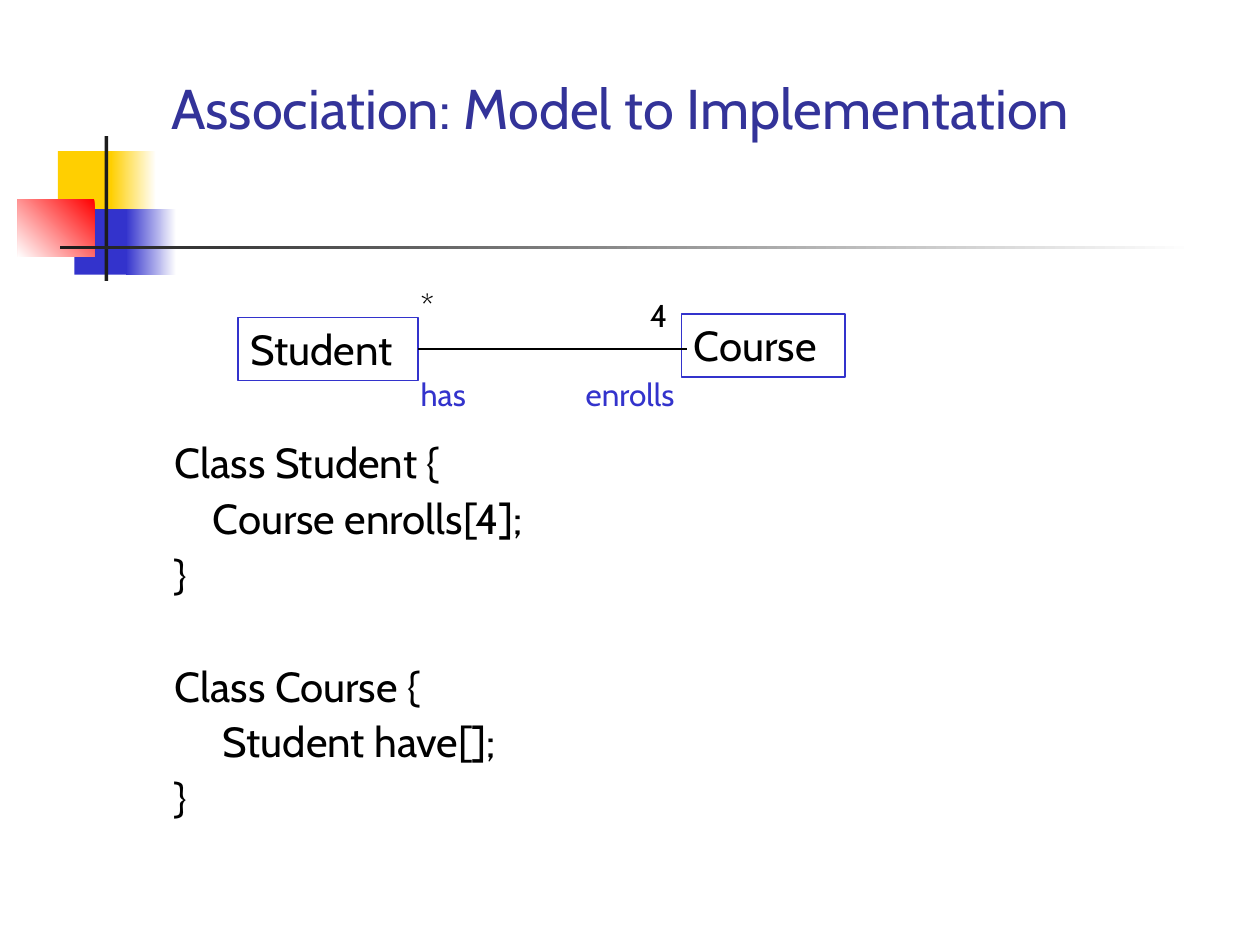
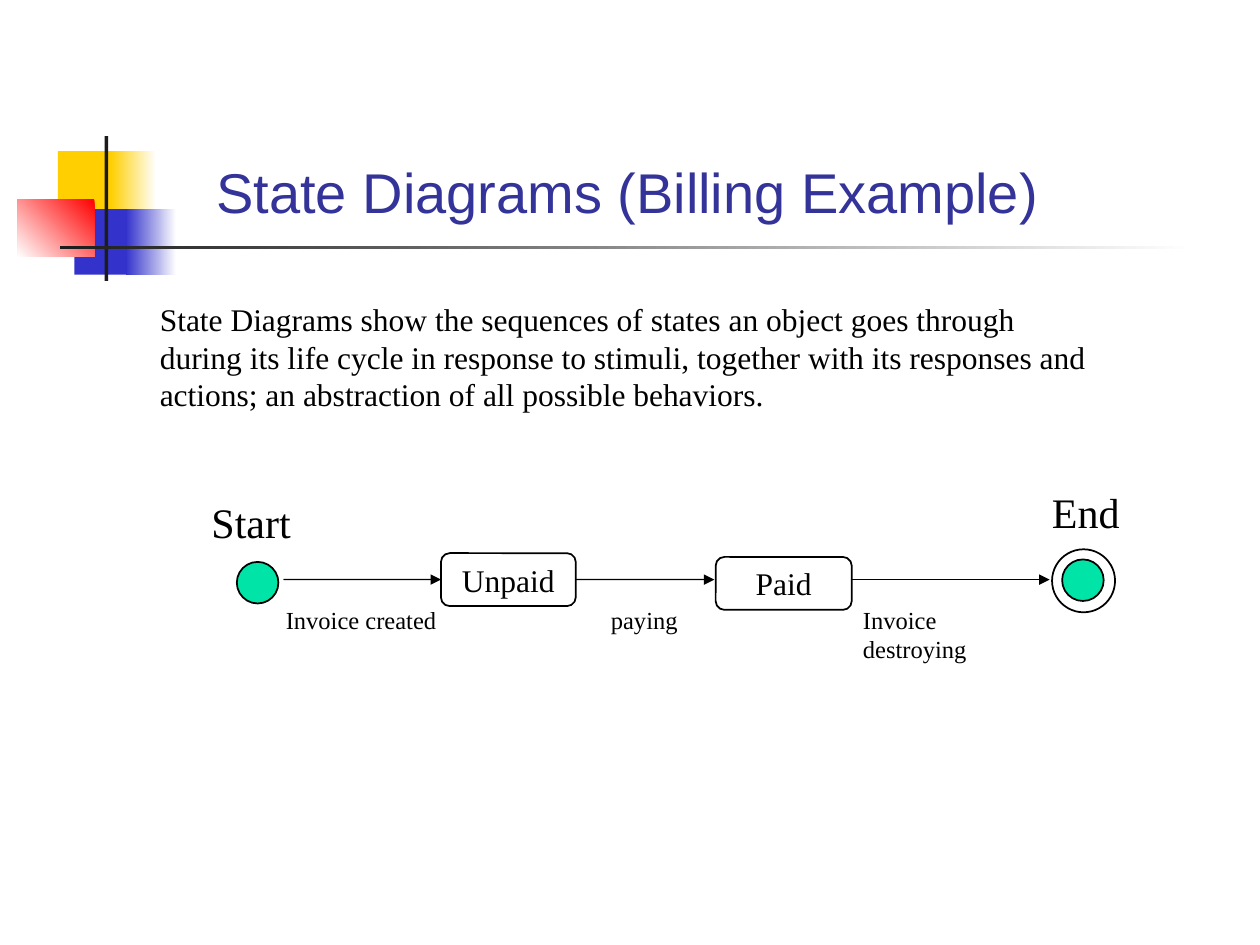
from lxml import etree
from pptx import Presentation
from pptx.dml.color import RGBColor
from pptx.enum.shapes import MSO_CONNECTOR, MSO_SHAPE
from pptx.enum.text import MSO_ANCHOR, PP_ALIGN
from pptx.oxml.ns import qn
from pptx.util import Inches, Pt

BLACK = RGBColor(0x00, 0x00, 0x00)
WHITE = RGBColor(0xFF, 0xFF, 0xFF)
CHARCOAL = RGBColor(0x1C, 0x1C, 0x1C)
YELLOW = RGBColor(0xFF, 0xCF, 0x01)
BLUE = RGBColor(0x33, 0x33, 0xCC)
RED = RGBColor(0xFF, 0x00, 0x00)
TITLE_BLUE = RGBColor(0x33, 0x33, 0x99)
GREEN = RGBColor(0x00, 0xE4, 0xA8)

CABIN, ARIAL, TIMES = "Cabin", "Arial", "Times New Roman"
LEFT_SIDE, RIGHT_SIDE = 1, 3

# Boxes are (left, top, width, height) in inches.
# Each ornament: box, colours, clockwise gradient angle.
ORNAMENTS = [
    ((0.46, 1.2, 0.48, 0.52), [YELLOW], None),
    ((0.88, 1.2, 0.36, 0.52), [WHITE, YELLOW], 180),
    ((0.59, 1.66, 0.46, 0.52), [BLUE], None),
    ((1, 1.66, 0.4, 0.52), [WHITE, BLUE], 180),
    ((0.14, 1.58, 0.61, 0.46), [RED, WHITE], 135),
    ((0.83, 1.08, 0.03, 1.15), [CHARCOAL], None),
    ((0.48, 1.95, 9, 0.03), [WHITE, CHARCOAL], 180),
]

CLASS_BOXES = {"Student": (1.89, 2.52, 1.43, 0.5), "Course": (5.41, 2.49, 1.3, 0.5)}
ASSOCIATION_Y = 2.77
ASSOCIATION_LABELS = [
    ("enrolls", (4.55, 2.93, 1, 0.4), BLUE),
    ("has", (3.24, 2.93, 0.61, 0.4), BLUE),
    ("*", (3.24, 2.22, 0.31, 0.4), BLACK),
    ("4", (5.06, 2.3, 0.34, 0.4), BLACK),
]
# Each code line: text, indent in inches, space before in points.
CODE_LINES = [
    ("Class Student {", 0, 6),
    ("Course enrolls[4];", 0.3, 6),
    ("}", 0, 6),
    ("Class Course {", 0, 38),
    ("Student have[];", 0.38, 6),
    ("}", 0, 6),
]

DEFINITION = (
    "State Diagrams show the sequences of states an object goes through during "
    "its life cycle in response to stimuli, together with its responses and "
    "actions; an abstraction of all possible behaviors."
)
STATES = {"Unpaid": (3.5, 4.39, 1.07, 0.42), "Paid": (5.68, 4.42, 1.08, 0.42)}
START_DISC = (1.88, 4.46, 0.33, 0.33)
END_DISC = (8.43, 4.44, 0.33, 0.33)
END_RING = (8.35, 4.36, 0.5, 0.5)
ENDPOINT_LABELS = [("Start", (1.58, 3.89, 1.08, 0.5)), ("End", (8.25, 3.81, 0.75, 0.5))]
TRANSITION_Y = 4.6
# Each transition: label, label box, start x, end x, state it leaves, state it enters.
TRANSITIONS = [
    ("Invoice created", (2.17, 4.75, 1.44, 0.34), 2.25, 3.5, None, "Unpaid"),
    ("paying", (4.75, 4.75, 0.73, 0.34), 4.58, 5.67, "Unpaid", None),
    ("Invoice destroying", (6.75, 4.75, 1.65, 0.34), 6.75, 8.33, None, None),
]


def inches(box):
    return [Inches(length) for length in box]


def format_paragraph(paragraph, size, font, color, align=PP_ALIGN.LEFT):
    paragraph.alignment = align
    for run in paragraph.runs:
        run.font.size = Pt(size)
        run.font.name = font
        run.font.color.rgb = color


def add_text(slide, text, box, size, font, color=BLACK, wrap=False, anchor=MSO_ANCHOR.TOP):
    text_frame = slide.shapes.add_textbox(*inches(box)).text_frame
    text_frame.word_wrap = wrap
    text_frame.vertical_anchor = anchor
    text_frame.text = text
    format_paragraph(text_frame.paragraphs[0], size, font, color)


def add_panel(slide, kind, box, fill=None, line=None):
    """Add a preset shape with an optional plain fill and 1 pt outline."""
    shape = slide.shapes.add_shape(kind, *inches(box))
    shape.shadow.inherit = False
    if fill is None:
        shape.fill.background()
    else:
        shape.fill.solid()
        shape.fill.fore_color.rgb = fill
    if line is None:
        shape.line.fill.background()
    else:
        shape.line.color.rgb = line
        shape.line.width = Pt(1)
    return shape


def add_labelled_panel(slide, kind, text, box, line, size, font, align, anchor):
    shape = add_panel(slide, kind, box, line=line)
    text_frame = shape.text_frame
    text_frame.word_wrap = False
    text_frame.vertical_anchor = anchor
    text_frame.text = text
    format_paragraph(text_frame.paragraphs[0], size, font, BLACK, align)
    return shape


def add_line(slide, start_x, end_x, y, source=None, target=None, arrow=False):
    """Draw a horizontal line, joined to the source and target shapes if given."""
    connector = slide.shapes.add_connector(
        MSO_CONNECTOR.STRAIGHT, *inches((start_x, y, end_x, y)))
    if source is not None:
        connector.begin_connect(source, RIGHT_SIDE)
    if target is not None:
        connector.end_connect(target, LEFT_SIDE)
    connector.line.color.rgb = BLACK
    connector.line.width = Pt(0.75)
    properties = connector.line._get_or_add_ln()
    if arrow:
        etree.SubElement(properties, qn("a:tailEnd"), type="triangle")
    etree.SubElement(properties.getparent(), qn("a:effectLst"))


def add_base_slide(presentation, title, box, font, anchor):
    """Add a blank slide with the shared ornaments and title style."""
    slide = presentation.slides.add_slide(presentation.slide_layouts[6])
    for ornament_box, colors, angle in ORNAMENTS:
        shape = add_panel(slide, MSO_SHAPE.RECTANGLE, ornament_box, fill=colors[0])
        if angle is not None:
            shape.fill.gradient()
            shape.fill.gradient_angle = 360 - angle
            for stop, color in zip(shape.fill.gradient_stops, colors):
                stop.color.rgb = color
    add_text(slide, title, box, 32, font, TITLE_BLUE, wrap=True, anchor=anchor)
    return slide


def add_code(slide, box):
    text_frame = slide.shapes.add_textbox(*inches(box)).text_frame
    text_frame.word_wrap = True
    text_frame.text = "\n".join(text for text, _, _ in CODE_LINES)
    for paragraph, (_, indent, space) in zip(text_frame.paragraphs, CODE_LINES):
        format_paragraph(paragraph, 24, CABIN, BLACK)
        paragraph.line_spacing = 0.9
        paragraph.space_before = Pt(space)
        paragraph._p.get_or_add_pPr().set("marL", str(Inches(indent)))


def build_association_slide(presentation):
    slide = add_base_slide(presentation, "Association: Model to Implementation",
                           (1.26, 0.23, 8.52, 1.24), CABIN, MSO_ANCHOR.MIDDLE)
    add_code(slide, (1.29, 3.46, 8.42, 3.25))
    classes = {
        name: add_labelled_panel(slide, MSO_SHAPE.RECTANGLE, name, box, BLUE, 24, CABIN,
                                 PP_ALIGN.LEFT, MSO_ANCHOR.TOP)
        for name, box in CLASS_BOXES.items()
    }
    add_line(slide, 3.29, 5.45, ASSOCIATION_Y, source=classes["Student"])
    for text, box, color in ASSOCIATION_LABELS:
        add_text(slide, text, box, 18, CABIN, color)


def build_state_slide(presentation):
    slide = add_base_slide(presentation, "State Diagrams (Billing Example)",
                           (1.62, 0.23, 7.8, 1.6), ARIAL, MSO_ANCHOR.BOTTOM)
    add_text(slide, DEFINITION, (1.17, 2.33, 7.67, 1), 18, TIMES, wrap=True)
    states = {
        name: add_labelled_panel(slide, MSO_SHAPE.FLOWCHART_ALTERNATE_PROCESS, name, box,
                                 BLACK, 18, TIMES, PP_ALIGN.CENTER, MSO_ANCHOR.MIDDLE)
        for name, box in STATES.items()
    }
    for box, fill in [(START_DISC, GREEN), (END_DISC, GREEN), (END_RING, None)]:
        add_panel(slide, MSO_SHAPE.OVAL, box, fill, BLACK)
    for text, box in ENDPOINT_LABELS:
        add_text(slide, text, box, 24, TIMES, wrap=True)
    for text, box, start_x, end_x, source, target in TRANSITIONS:
        add_line(slide, start_x, end_x, TRANSITION_Y, states.get(source),
                 states.get(target), arrow=True)
        add_text(slide, text, box, 14, TIMES)


def main():
    presentation = Presentation()
    presentation.slide_width = Inches(10)
    presentation.slide_height = Inches(7.5)
    build_association_slide(presentation)
    build_state_slide(presentation)
    presentation.save("out.pptx")


if __name__ == "__main__":
    main()
